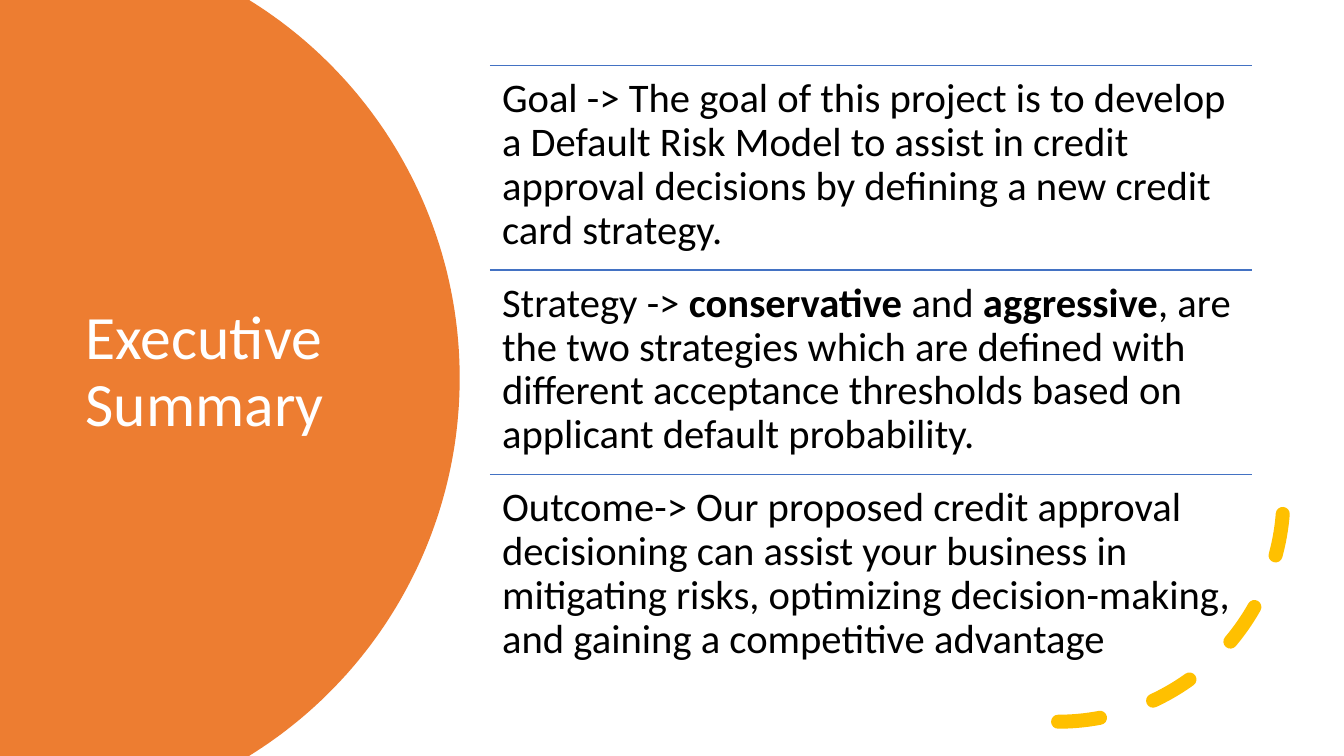
from math import asin, cos, sin

from lxml.etree import SubElement
from pptx import Presentation
from pptx.dml.color import RGBColor
from pptx.enum.dml import MSO_LINE
from pptx.enum.shapes import MSO_CONNECTOR, MSO_SHAPE
from pptx.enum.text import MSO_ANCHOR, MSO_AUTO_SIZE, PP_ALIGN
from pptx.oxml.ns import qn
from pptx.util import Inches, Pt

COLORS = {"panel": "ED7D31", "title": "FFFFFF", "text": "000000",
          "rule": "4372C3", "arc": "FFC000"}
WIDTH, HEIGHT = 13.33, 7.5
ROW_LEFT, ROW_TOP, ROW_WIDTH, ROW_HEIGHT = 4.86, 0.65, 7.56, 2.03

# Each row is a list of (text, bold) spans.
ROWS = [
    [("Goal -> The goal of this project is to develop a Default Risk Model to "
      "assist in credit approval decisions by defining a new credit card "
      "strategy.", False)],
    [("Strategy -> ", False), ("conservative", True), (" and", False),
     (" aggressive", True),
     (", are the two strategies which are defined with different acceptance "
      "thresholds based on applicant default probability.", False)],
    [("Outcome-> Our proposed credit approval decisioning can assist your "
      "business in mitigating risks, optimizing decision-making, and gaining "
      "a competitive advantage", False)],
]


def color(name):
    return RGBColor.from_string(COLORS[name])


def set_all(target, values):
    for name, value in values.items():
        setattr(target, name, value)


class SlideBuilder:
    font = "Calibri"

    def __init__(self, page):
        self.page = page

    def fill_text(self, shape, spans, size, color_name, inset, anchor):
        """Fill a shape with one paragraph of (text, bold) spans."""
        frame = shape.text_frame
        set_all(frame, {
            "word_wrap": True, "auto_size": MSO_AUTO_SIZE.NONE,
            "vertical_anchor": anchor,
            "margin_left": Inches(inset[0]), "margin_right": Inches(inset[0]),
            "margin_top": Inches(inset[1]), "margin_bottom": Inches(inset[1])})
        paragraph = frame.paragraphs[0]
        set_all(paragraph, {"line_spacing": 0.9, "alignment": PP_ALIGN.LEFT})
        for text, bold in spans:
            span = paragraph.add_run()
            span.text = text
            set_all(span.font, {"name": self.font, "size": Pt(size), "bold": bold})
            span.font.color.rgb = color(color_name)

    def title(self, text, left, top, width, height):
        title = self.page.shapes.title
        set_all(title, {"left": Inches(left), "top": Inches(top),
                        "width": Inches(width), "height": Inches(height)})
        self.fill_text(title, [(text, False)], 44, "title", (0.1, 0.05),
                       MSO_ANCHOR.MIDDLE)

    def text(self, spans, left, top, width, height):
        box = self.page.shapes.add_textbox(
            Inches(left), Inches(top), Inches(width), Inches(height))
        self.fill_text(box, spans, 29, "text", (0.12, 0.12), MSO_ANCHOR.TOP)

    def rule(self, left, top, width):
        line = self.page.shapes.add_connector(
            MSO_CONNECTOR.STRAIGHT, Inches(left), Inches(top),
            Inches(left + width), Inches(top))
        line.line.color.rgb = color("rule")
        line.line.width = Pt(1)
        SubElement(line._element.spPr, qn("a:effectLst"))

    def round_panel(self, center_x, radius, steps=120):
        """Fill the left side up to a circle cut off by the slide's edges."""
        middle = HEIGHT / 2
        limit = asin(middle / radius)
        angles = [limit * (2 * step / steps - 1) for step in range(steps + 1)]
        edge = [(Inches(center_x + radius * cos(angle)),
                 Inches(middle + radius * sin(angle))) for angle in angles]
        builder = self.page.shapes.build_freeform(0, 0)
        builder.add_line_segments(edge + [(0, Inches(HEIGHT))], close=True)
        panel = builder.convert_to_shape()
        panel.shadow.inherit = False
        panel.fill.solid()
        panel.fill.fore_color.rgb = color("panel")
        panel.line.fill.background()

    def dashed_arc(self, left, top, size):
        """Draw a quarter circle from the bottom to the right."""
        arc = self.page.shapes.add_shape(
            MSO_SHAPE.ARC, Inches(left), Inches(top), Inches(size), Inches(size))
        arc.shadow.inherit = False
        arc.rotation = 180
        arc._element.spPr.find(qn("a:xfrm")).set("flipH", "1")
        arc.fill.background()
        arc.line.color.rgb = color("arc")
        set_all(arc.line, {"width": Pt(10), "dash_style": MSO_LINE.DASH})
        arc._element.spPr.find(qn("a:ln")).set("cap", "rnd")


def main():
    deck = Presentation()
    set_all(deck, {"slide_width": Inches(WIDTH), "slide_height": Inches(HEIGHT)})
    page = deck.slides.add_slide(deck.slide_layouts[5])
    builder = SlideBuilder(page)

    builder.round_panel(center_x=0.15, radius=4.41)
    builder.title("Executive Summary", 0.75, 1.26, 3.5, 4.88)
    title = page.shapes.title._element
    title.getparent().append(title)  # bring the title in front of the panel
    builder.dashed_arc(8.26, 2.69, 4.47)
    for index, spans in enumerate(ROWS):
        top = ROW_TOP + index * ROW_HEIGHT
        builder.rule(ROW_LEFT, top, ROW_WIDTH)
        builder.text(spans, ROW_LEFT, top, ROW_WIDTH, ROW_HEIGHT)

    deck.save("out.pptx")


if __name__ == "__main__":
    main()
